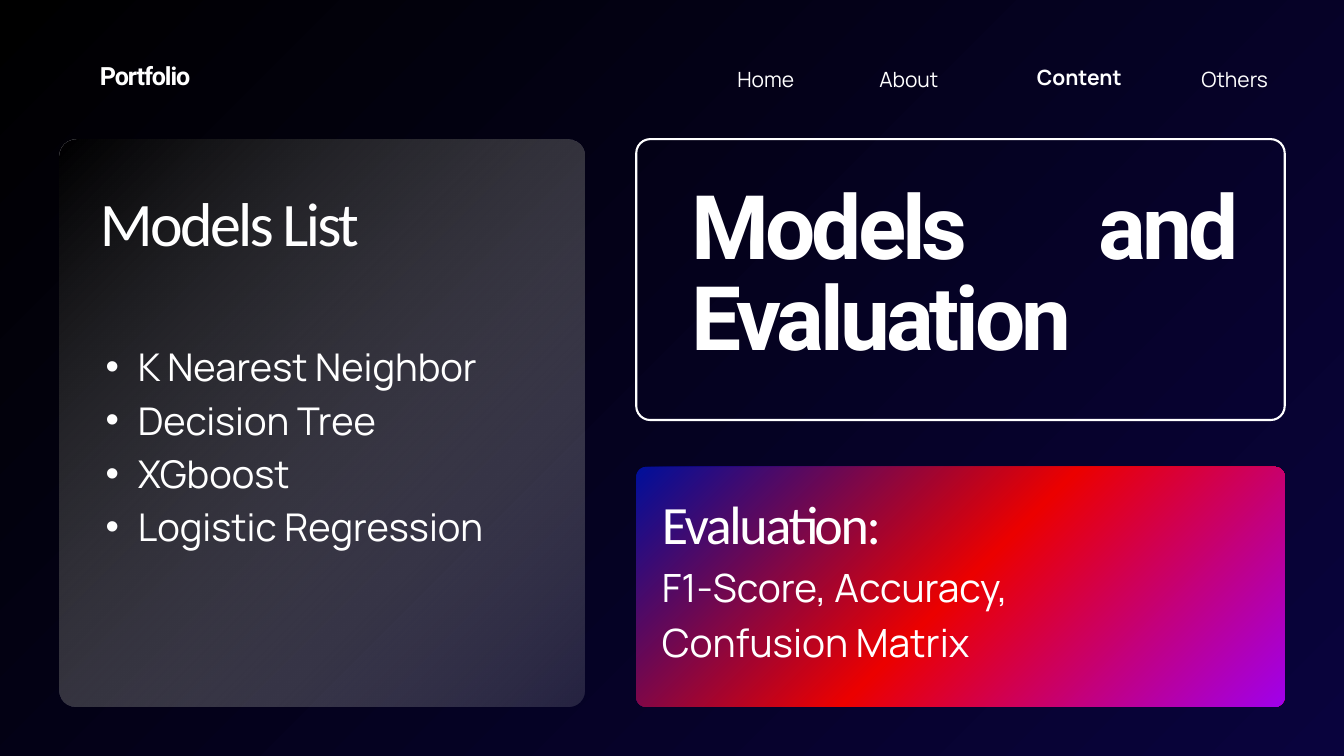
from dataclasses import dataclass

from lxml import etree
from pptx import Presentation
from pptx.dml.color import RGBColor
from pptx.enum.shapes import MSO_SHAPE
from pptx.enum.text import MSO_AUTO_SIZE, PP_ALIGN
from pptx.oxml.ns import qn
from pptx.util import Cm, Pt

ROUND = MSO_SHAPE.ROUNDED_RECTANGLE
GROW = MSO_AUTO_SIZE.SHAPE_TO_FIT_TEXT
LEFT, MID, RIGHT, JUST = (
    PP_ALIGN.LEFT, PP_ALIGN.CENTER, PP_ALIGN.RIGHT, PP_ALIGN.JUSTIFY)


@dataclass(frozen=True)
class Style:
    face: str
    size: float
    lead: float
    bold: bool = False
    track: float = 0


@dataclass(frozen=True)
class Theme:
    # Colours; gradient stops are (place %, colour, opacity %)
    white: RGBColor = RGBColor(255, 255, 255)
    night: tuple = ((0, "000000", 100), (100, "09033D", 100))
    glass: tuple = ((0, "000000", 78), (100, "DDDDDD", 15))
    flame: tuple = ((0, "000F9B", 100), (50, "EB0000", 100),
                    (100, "A000EB", 100))
    # Type
    nav: Style = Style("Manrope", 22.5, 31.5)
    here: Style = Style("Manrope", 22.5, 31.5, True)
    brand: Style = Style("Roboto", 26.9, 37.6, True, -1.2)
    title: Style = Style("Roboto", 95.4, 97.3, True, -4.3)
    head: Style = Style("Calibri", 66.3, 92.8, False, -2.9)
    sub: Style = Style("Calibri", 57.8, 80.8, False, -2.5)
    list: Style = Style("Manrope", 40.9, 57.2)
    body: Style = Style("Manrope", 41.7, 58.4)


THEME = Theme()


def blend(fill, root, stops):
    """Fill with a gradient from top left to bottom right."""
    fill.gradient()
    fill.gradient_angle = 315
    group = next(root.iter(qn("a:gsLst")))
    for old in list(group):
        group.remove(old)
    for place, tone, alpha in stops:
        stop = etree.SubElement(group, qn("a:gs"), pos=str(place * 1000))
        color = etree.SubElement(stop, qn("a:srgbClr"), val=tone)
        if alpha < 100:
            etree.SubElement(color, qn("a:alpha"), val=str(alpha * 1000))


def add_card(slide, box, radius, stops=None):
    """Rounded panel: gradient filled, or outlined when it has no stops."""
    card = slide.shapes.add_shape(ROUND, *map(Cm, box))
    card.shadow.inherit = False
    card.adjustments[0] = radius / min(box[2:])
    if stops:
        blend(card.fill, card.element, stops)
        card.line.fill.background()
    else:
        card.fill.background()
        card.line.color.rgb = THEME.white
        card.line.width = Pt(2.25)


def add_dot(para):
    """Give a paragraph a hanging bullet."""
    props = para._p.get_or_add_pPr()
    props.set("lvl", "1")
    props.set("marL", str(Cm(2.44)))
    props.set("indent", str(Cm(-1.22)))
    etree.SubElement(props, qn("a:buFont"), typeface="Arial")
    etree.SubElement(props, qn("a:buChar"), char="•")


def add_text(slide, box, lines, style, align=LEFT, dots=False):
    """Text box without margins, one paragraph a line."""
    frame = slide.shapes.add_textbox(*map(Cm, box)).text_frame
    frame.margin_left = frame.margin_right = 0
    frame.margin_top = frame.margin_bottom = 0
    frame.word_wrap = True
    frame.auto_size = GROW
    frame.text = "\n".join(lines)
    for para in frame.paragraphs:
        para.alignment = align
        para.line_spacing = Pt(style.lead)
        if dots:
            add_dot(para)
        font = para.font
        font.name, font.size = style.face, Pt(style.size)
        font.bold = style.bold
        font.color.rgb = THEME.white
        if style.track:
            for run in para.runs:
                props = run._r.get_or_add_rPr()
                props.set("spc", str(round(style.track * 100)))


def add_nav(slide):
    add_text(slide, (3.78, 2.11, 8.28, 1.37), ["Portfolio"], THEME.brand)
    for word, left, top, width, style, align in (
        ("Home", 25.4, 2.34, 4.62, THEME.nav, RIGHT),
        ("About", 31.7, 2.34, 5.31, THEME.nav, MID),
        ("Content", 38.13, 2.29, 5.33, THEME.here, MID),
        ("Others", 41.76, 2.34, 6.17, THEME.nav, RIGHT),
    ):
        add_text(slide, (left, top, width, 1.14), [word], style, align)


def main():
    deck = Presentation()
    deck.slide_width, deck.slide_height = Cm(50.8), Cm(28.58)
    slide = deck.slides.add_slide(deck.slide_layouts[6])
    blend(slide.background.fill, slide.element, THEME.night)

    # Panels
    add_card(slide, (2.24, 5.26, 19.84, 21.46), 0.64, THEME.glass)
    add_card(slide, (24.05, 17.65, 24.51, 9.07), 0.38, THEME.flame)
    add_card(slide, (24.05, 5.26, 24.51, 10.62), 0.53)

    # Top row
    add_nav(slide)

    # Title
    add_text(slide, (26.14, 7.04, 20.52, 7.24),
             ["Models and Evaluation"], THEME.title, JUST)

    # Models
    add_text(slide, (3.78, 6.5, 18.29, 3.12),
             ["Models List"], THEME.head, JUST)
    models = ["K Nearest Neighbor", "Decision Tree", "XGboost",
              "Logistic Regression"]
    add_text(slide, (2.77, 12.7, 17.02, 8.1), models, THEME.list, dots=True)

    # Evaluation
    add_text(slide, (25.02, 18.16, 15.95, 5.59),
             ["Evaluation:"], THEME.sub, JUST)
    add_text(slide, (25.02, 21.03, 15.77, 4.14),
             ["F1-Score, Accuracy, Confusion Matrix"], THEME.body)

    deck.save("out.pptx")


if __name__ == "__main__":
    main()
